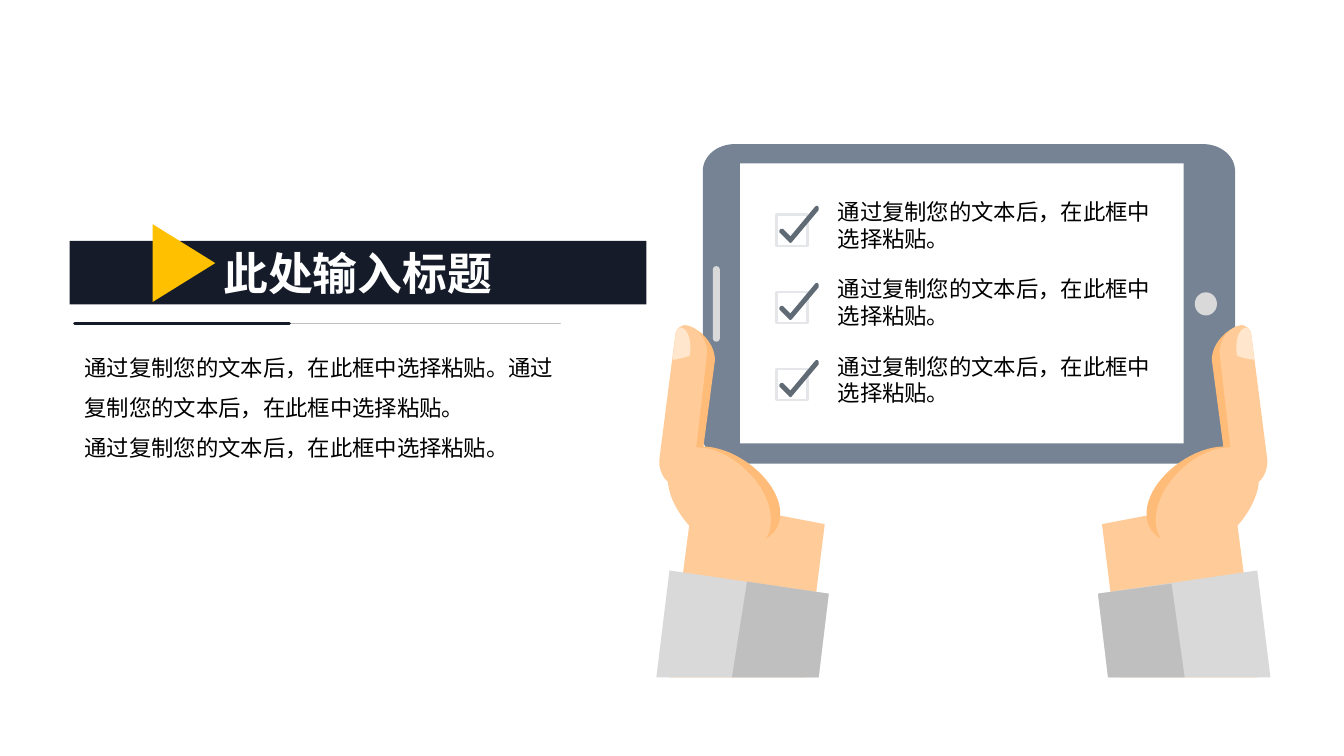
from lxml import etree
from pptx import Presentation
from pptx.dml.color import RGBColor
from pptx.enum.shapes import MSO_CONNECTOR, MSO_SHAPE
from pptx.enum.text import MSO_ANCHOR, PP_ALIGN
from pptx.oxml.ns import qn
from pptx.util import Inches, Pt

STRAIGHT = MSO_CONNECTOR.STRAIGHT
RECTANGLE = MSO_SHAPE.RECTANGLE
ROUNDED = MSO_SHAPE.ROUNDED_RECTANGLE
OVAL = MSO_SHAPE.OVAL
TRIANGLE = MSO_SHAPE.ISOSCELES_TRIANGLE
BOTTOM = MSO_ANCHOR.BOTTOM
CENTER = PP_ALIGN.CENTER

NAVY = "151B29"
SLATE = "768395"
LIGHT_GREY = "D9D9D9"
MID_GREY = "BFBFBF"
SKIN = "FFCC99"
SKIN_SHADE = "FFBC79"
NAIL = "FFE6CC"
CHECK_GREY = "606A74"
CURVE_STEPS = 16
SENTENCE = "通过复制您的文本后，在此框中选择粘贴。"

prs = Presentation()
prs.slide_width = Inches(13.33)
prs.slide_height = Inches(7.5)
slide = prs.slides.add_slide(prs.slide_layouts[6])
shapes = slide.shapes


def paint(shape, fill, line=None, width=0):
    shape.shadow.inherit = False
    shape.fill.solid()
    shape.fill.fore_color.rgb = RGBColor.from_string(fill)
    if line:
        shape.line.color.rgb = RGBColor.from_string(line)
        shape.line.width = Pt(width)
    else:
        shape.line.fill.background()
    return shape


def add_outline(segments, fill, line=None, width=0, mirror=None):
    """Draw (x, y) corners and six-number Bezier curves; mirror is the sum of reflected x values."""
    points = []
    for segment in segments:
        if len(segment) == 2:
            points.append(segment)
            continue
        x0, y0 = points[-1]
        x1, y1, x2, y2, x3, y3 = segment
        for step in range(1, CURVE_STEPS + 1):
            t = step / CURVE_STEPS
            a, b, c, d = (1 - t) ** 3, 3 * t * (1 - t) ** 2, 3 * t * t * (1 - t), t ** 3
            points.append((a * x0 + b * x1 + c * x2 + d * x3,
                           a * y0 + b * y1 + c * y2 + d * y3))
    if mirror:
        points = [(mirror - x, y) for x, y in points]
    corners = [(Inches(x), Inches(y)) for x, y in points]
    builder = shapes.build_freeform(*corners[0])
    builder.add_line_segments(corners[1:], close=True)
    return paint(builder.convert_to_shape(), fill, line, width)


# Divider under the title
for end_x, color, width in ((5.56, MID_GREY, 0.25), (2.87, NAVY, 2.25)):
    rule = shapes.add_connector(STRAIGHT, Inches(0.74), Inches(3.21), Inches(end_x), Inches(3.21))
    rule.line.color.rgb = RGBColor.from_string(color)
    rule.line.width = Pt(width)
    rule.line._get_or_add_ln().set("cap", "rnd")
    etree.SubElement(rule._element.spPr, qn("a:effectLst"))

# Tablet
add_outline([(7.29, 1.43), (11.93, 1.43), (12.11, 1.43, 12.25, 1.55, 12.25, 1.7),
             (12.25, 4.33), (12.25, 4.47, 12.11, 4.6, 11.93, 4.6),
             (7.29, 4.6), (7.11, 4.6, 6.97, 4.47, 6.97, 4.33),
             (6.97, 1.7), (6.97, 1.55, 7.11, 1.43, 7.29, 1.43)], SLATE)
for kind, x, y, w, h, color in (
        (RECTANGLE, 7.34, 1.62, 4.4, 2.78, "FFFFFF"),
        (ROUNDED, 7.07, 2.64, 0.07, 0.75, LIGHT_GREY),
        (OVAL, 11.85, 2.9, 0.22, 0.23, LIGHT_GREY)):
    part = paint(shapes.add_shape(kind, Inches(x), Inches(y), Inches(w), Inches(h)), color)
    if kind == ROUNDED:
        part.adjustments[0] = 0.5

# Right hand, and the left one reflected; only the cuff folds differ
hand = [
    ([(12.24, 4.95), (12.47, 6.72), (11.12, 6.72), (10.93, 5.2)], SKIN),
    ([(12.47, 5.66), (12.6, 6.72), (10.99, 6.72), (10.89, 5.89)], LIGHT_GREY),
    ([(12.19, 4.43), (12.47, 4.44, 12.52, 4.7, 12.38, 4.97),
      (12.24, 5.23, 11.97, 5.4, 11.68, 5.39), (11.41, 5.37, 11.29, 5.15, 11.43, 4.88),
      (11.57, 4.62, 11.91, 4.41, 12.19, 4.43)], SKIN_SHADE),
    ([(12.3, 3.23), (12.36, 3.22, 12.37, 3.28, 12.37, 3.34), (12.54, 4.44),
      (12.55, 4.55, 12.48, 4.71, 12.38, 4.73), (12.27, 4.74, 12.16, 4.67, 12.15, 4.56),
      (12.02, 3.58), (12.01, 3.41, 12.18, 3.25, 12.3, 3.23)], SKIN_SHADE),
    ([(12.3, 3.23), (12.35, 3.22, 12.4, 3.26, 12.41, 3.31), (12.57, 4.56),
      (12.58, 4.65, 12.52, 4.8, 12.43, 4.8), (12.34, 4.82, 12.24, 4.75, 12.23, 4.66),
      (12.1, 3.53), (12.08, 3.38, 12.19, 3.25, 12.3, 3.23)], SKIN),
    ([(12.22, 4.44), (12.47, 4.47, 12.56, 4.73, 12.42, 5),
      (12.28, 5.29, 11.98, 5.49, 11.73, 5.46), (11.48, 5.44, 11.39, 5.19, 11.53, 4.9),
      (11.67, 4.63, 11.98, 4.42, 12.22, 4.44)], SKIN),
    ([(12.37, 3.25), (12.39, 3.27, 12.41, 3.29, 12.41, 3.31), (12.44, 3.57),
      (12.37, 3.56, 12.33, 3.55, 12.27, 3.53), (12.25, 3.42, 12.27, 3.25, 12.37, 3.25)], NAIL),
]
right_fold = [(11.62, 5.79), (10.89, 5.89), (10.99, 6.72), (11.75, 6.72)]
left_fold = [(11.7, 5.77), (10.89, 5.89), (10.99, 6.72), (11.85, 6.72)]
for mirror, fold in ((None, right_fold), (19.11, left_fold)):
    for segments, color in hand + [(fold, MID_GREY)]:
        add_outline(segments, color, mirror=mirror)

# Checklist boxes and ticks
check_mark = [(8.11, 2.06), (8.1, 2.05), (8.09, 2.06), (7.84, 2.36), (7.76, 2.28), (7.75, 2.28),
              (7.74, 2.29), (7.74, 2.3), (7.83, 2.39), (7.84, 2.4), (7.85, 2.39), (8.11, 2.08)]
row_offsets = [0, 0.765, 1.53]
for offset in row_offsets:
    checkbox = shapes.add_shape(RECTANGLE, Inches(7.7), Inches(2.13 + offset),
                                Inches(0.31), Inches(0.31))
    paint(checkbox, "FFFFFF", "E4E6EA", 1.75)
    tick = add_outline([(x, y + offset) for x, y in check_mark], CHECK_GREY, CHECK_GREY, 1.5)
    etree.SubElement(tick.line._get_or_add_ln(), qn("a:round"))

# Body text and checklist text
passages = [(0.74, 3.33, 4.99, 1.08, 1.5, [SENTENCE * 2, SENTENCE])]
passages += [(8.21, 1.92 + offset, 3.45, 0.66, None, [SENTENCE]) for offset in row_offsets]
for x, y, w, h, spacing, paragraphs in passages:
    frame = shapes.add_textbox(Inches(x), Inches(y), Inches(w), Inches(h)).text_frame
    frame.word_wrap = True
    frame.text = "\n".join(paragraphs)
    for paragraph in frame.paragraphs:
        paragraph.line_spacing = spacing
        paragraph.font.size = Pt(16)
        paragraph.font.name = "Arial"
        paragraph.font.color.rgb = RGBColor.from_string("000000")

# Title banner
banner = shapes.add_shape(RECTANGLE, Inches(0.69), Inches(2.39), Inches(5.72), Inches(0.63))
paint(banner, NAVY)
banner.text_frame.vertical_anchor = BOTTOM
title = banner.text_frame.paragraphs[0]
title.text = "此处输入标题"
title.alignment = CENTER
title.font.size = Pt(32)
title.font.bold = True
title.font.name = "Arial"
title.font.color.rgb = RGBColor.from_string("FFFFFF")

pointer = shapes.add_shape(TRIANGLE, Inches(1.44), Inches(2.3), Inches(0.77), Inches(0.62))
paint(pointer, "FFC000").rotation = 90

prs.save("out.pptx")
